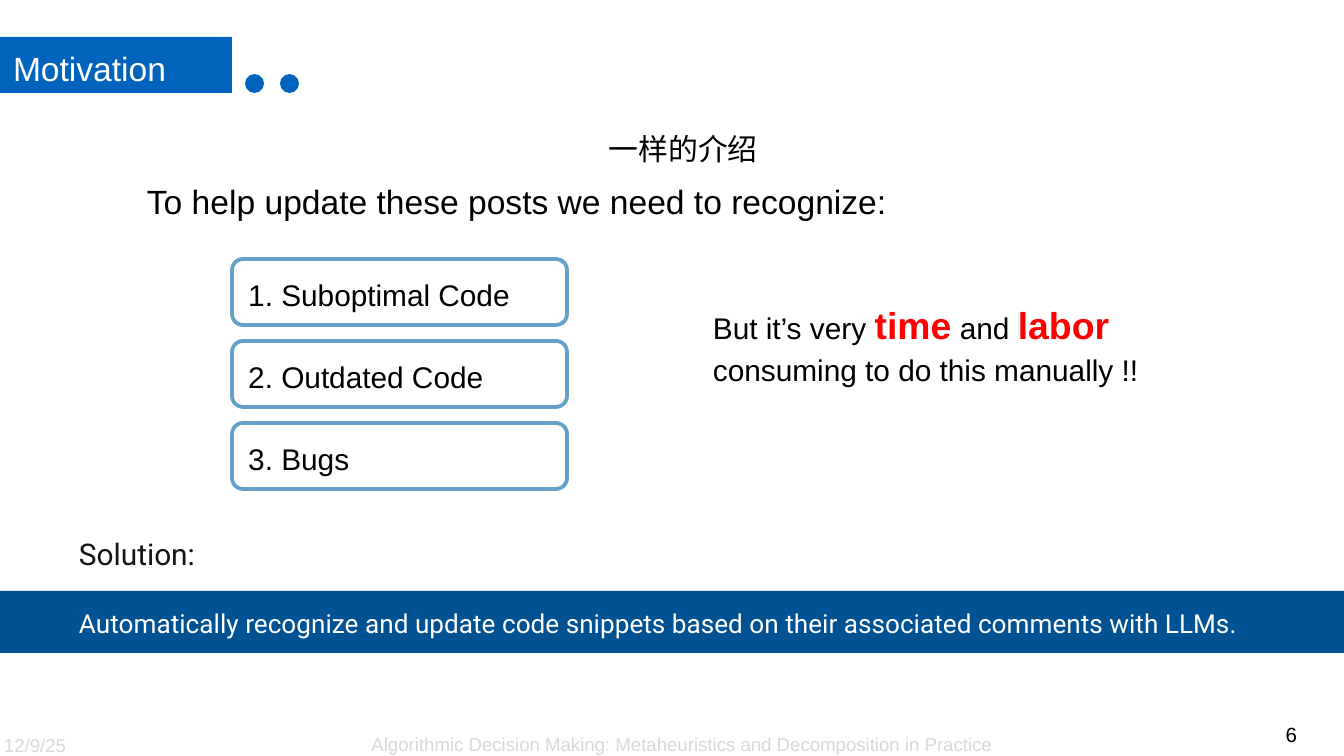
from dataclasses import dataclass

import pptx
import pptx.dml.color
import pptx.enum.shapes
import pptx.enum.text
import pptx.util

EMU_PER_PX = 914400 / 134.4
SHAPE = pptx.enum.shapes.MSO_SHAPE
ALIGN = pptx.enum.text.PP_ALIGN
ANCHOR = pptx.enum.text.MSO_ANCHOR
BLACK, WHITE, RED, GREY = "000000", "FFFFFF", "FF0000", "D9D9D9"
BLUE, DARK_BLUE, LIGHT_BLUE, INK = "0064BD", "005293", "64A0C8", "141413"
PADDING = (13, 7)


@dataclass(frozen=True)
class Area:
    left: int
    top: int
    width: int
    height: int


@dataclass(frozen=True)
class Span:
    text: str
    size: int
    color: str = BLACK
    bold: bool = False


@dataclass(frozen=True)
class Para:
    spans: tuple[Span, ...]
    font: str = "Arial"
    line_spacing: float = 1.14
    align: ALIGN = ALIGN.LEFT
    space_after: int = 0


@dataclass(frozen=True)
class TextBox:
    area: Area
    paras: tuple[Para, ...]
    padding: tuple[int, int] = (0, 0)
    anchor: ANCHOR = ANCHOR.TOP
    wrap: bool = True


def px(length: int) -> int:
    return pptx.util.Emu(round(length * EMU_PER_PX))


def rgb(color: str) -> pptx.dml.color.RGBColor:
    return pptx.dml.color.RGBColor.from_string(color)


def place(area: Area) -> tuple[int, int, int, int]:
    return px(area.left), px(area.top), px(area.width), px(area.height)


def write_text(frame, paras: tuple[Para, ...], padding: tuple[int, int],
               anchor: ANCHOR, wrap: bool = True) -> None:
    frame.word_wrap = wrap
    frame.vertical_anchor = anchor
    frame.margin_left = frame.margin_right = px(padding[0])
    frame.margin_top = frame.margin_bottom = px(padding[1])
    for index, item in enumerate(paras):
        para = frame.add_paragraph() if index else frame.paragraphs[0]
        para.alignment = item.align
        para.line_spacing = item.line_spacing
        para.space_after = pptx.util.Pt(item.space_after)
        para.font.name = item.font
        for span in item.spans:
            run = para.add_run()
            run.text = span.text
            run.font.size = pptx.util.Pt(span.size)
            run.font.bold = span.bold
            run.font.color.rgb = rgb(span.color)


def add_text(page, box: TextBox) -> None:
    shape = page.shapes.add_textbox(*place(box.area))
    write_text(shape.text_frame, box.paras, box.padding, box.anchor, box.wrap)


def add_filled(page, kind: SHAPE, area: Area, fill: str, span: Span | None = None):
    """Add a borderless preset shape, with one left-aligned line if given."""
    shape = page.shapes.add_shape(kind, *place(area))
    shape.shadow.inherit = False
    shape.fill.solid()
    shape.fill.fore_color.rgb = rgb(fill)
    shape.line.fill.background()
    if span:
        write_text(shape.text_frame, (Para((span,)),), PADDING, ANCHOR.MIDDLE)
    return shape


def add_item(page, area: Area, text: str) -> None:
    box = add_filled(page, SHAPE.ROUNDED_RECTANGLE, area, WHITE, Span(text, 16))
    box.line.color.rgb = rgb(LIGHT_BLUE)
    box.line.width = pptx.util.Pt(2)


TEXTS = (
    TextBox(Area(996, 714, 301, 40), (Para((Span("6", 11),), line_spacing=1, align=ALIGN.RIGHT),),
            padding=(0, 7), anchor=ANCHOR.MIDDLE),
    TextBox(Area(147, 175, 761, 60),
            (Para((Span("To help update these posts we need to recognize:", 18),)),)),
    TextBox(Area(713, 296, 512, 90), (Para((
        Span("But it’s very ", 16),
        Span("time", 20, RED, True),
        Span(" and ", 16),
        Span("labor", 20, RED, True),
        Span(" consuming to do this manually !!", 16),
    )),)),
    TextBox(Area(66, 529, 1232, 118), (
        Para((Span("Solution:", 16, INK),), "Roboto", 1, space_after=19),
        Para((Span("Automatically recognize and update code snippets based on "
                   "their associated comments with LLMs.", 14, WHITE),), "Roboto", 1),
    ), padding=PADDING),
    TextBox(Area(4, 723, 120, 32), (Para((Span("12/9/25", 10, GREY),), line_spacing=1.5),)),
    TextBox(Area(352, 726, 659, 30), (Para((Span(
        "Algorithmic Decision Making: Metaheuristics and Decomposition in Practice",
        10, GREY),), line_spacing=1, align=ALIGN.CENTER),), padding=PADDING),
    TextBox(Area(609, 126, 150, 38), (Para((Span("一样的介绍", 16),)),), wrap=False),
)
ITEMS = ("1. Suboptimal Code", "2. Outdated Code", "3. Bugs")


def main() -> None:
    deck = pptx.Presentation()
    deck.slide_width, deck.slide_height = px(1344), px(756)
    page = deck.slides.add_slide(deck.slide_layouts[6])

    add_filled(page, SHAPE.RECTANGLE, Area(0, 591, 1344, 62), DARK_BLUE)
    add_filled(page, SHAPE.RECTANGLE, Area(0, 37, 232, 56), BLUE,
               Span("Motivation", 18, WHITE))
    for index in range(2):
        add_filled(page, SHAPE.OVAL, Area(245 + 35 * index, 74, 19, 19), BLUE)
    for index, text in enumerate(ITEMS):
        add_item(page, Area(232, 259 + 82 * index, 335, 66), text)
    for box in TEXTS:
        add_text(page, box)

    deck.save("out.pptx")


if __name__ == "__main__":
    main()
